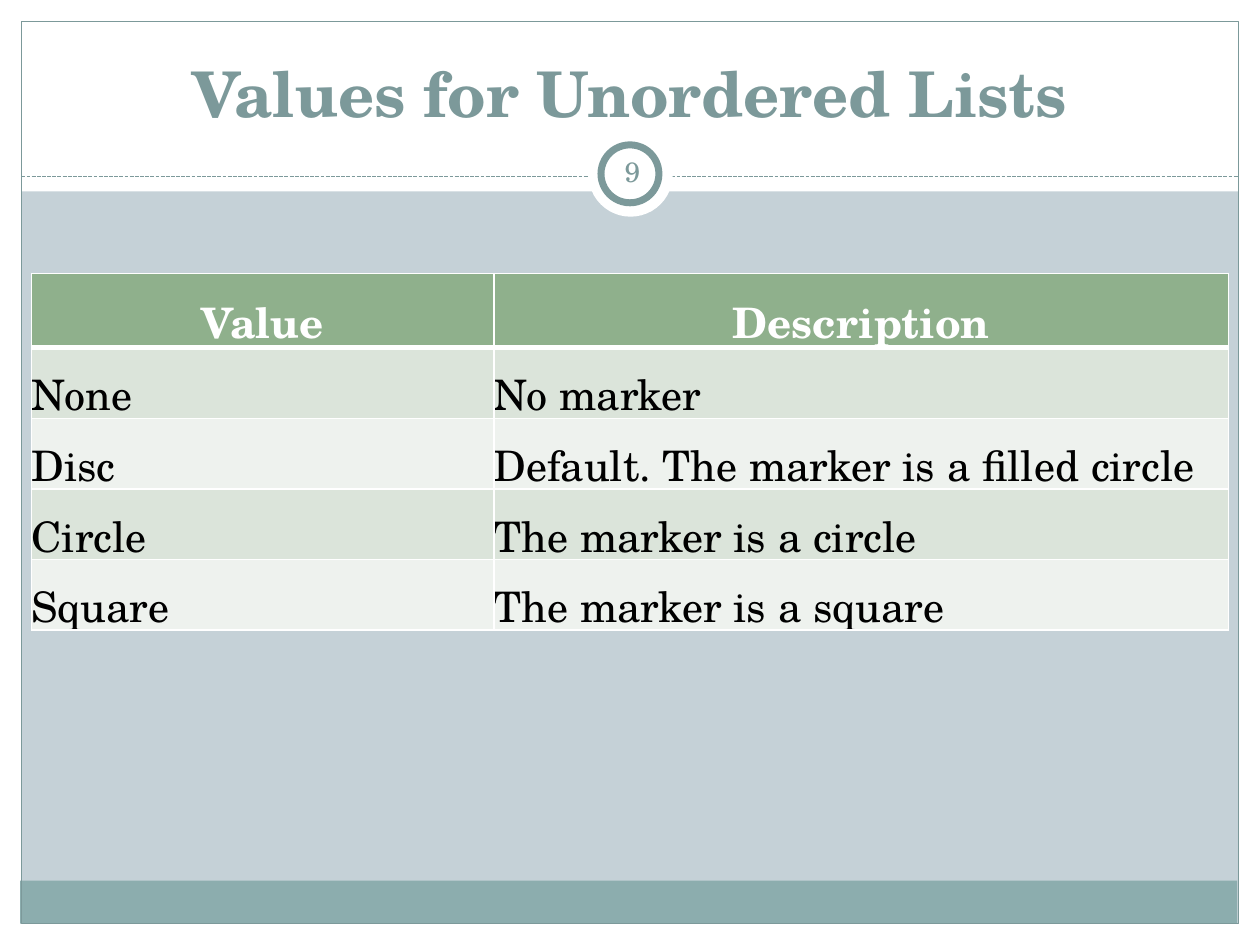
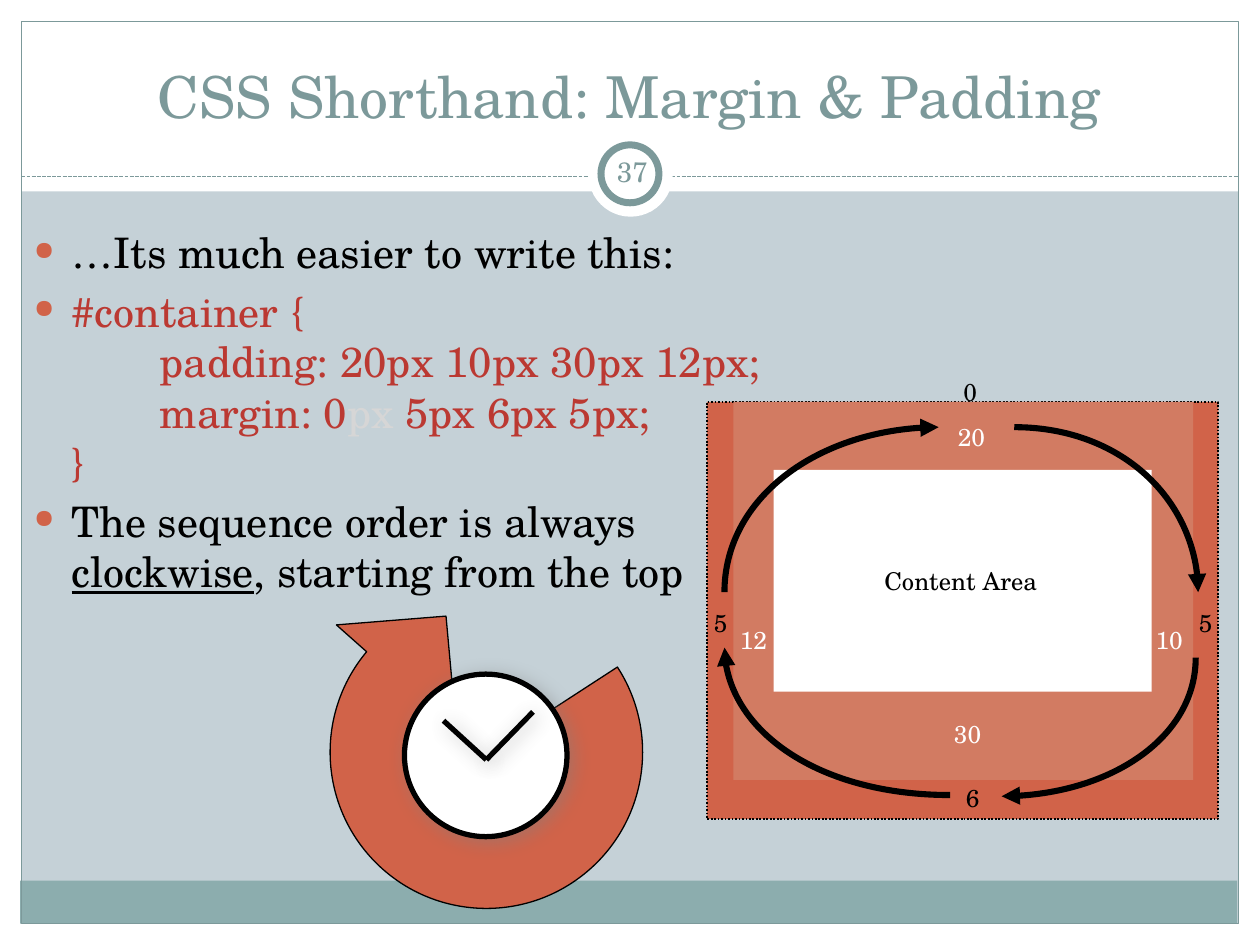
"""Build two CSS lesson slides: list marker values, and margin and padding shorthand."""
import math
from dataclasses import dataclass

from lxml import etree
from pptx import Presentation
from pptx import util as u
from pptx.dml import color
from pptx.enum import dml, shapes as sh, text as tx
from pptx.oxml import ns


@dataclass(frozen=True)
class Theme:
    """Colours, font and type sizes of the deck."""
    font: str = "TeX Gyre Schola"
    backdrop: str = "C5D1D7"
    white: str = "FFFFFF"
    black: str = "000000"
    slate: str = "7C999A"
    footer: str = "8CADAE"
    rust: str = "D16349"
    padding: str = "D27B62"
    code: str = "BB3932"
    faded: str = "D6D6D6"
    header: str = "8FB08C"
    row_dark: str = "DBE4DA"
    row_light: str = "EEF2EE"
    shadow: str = "808080"
    body_size: int = 24
    number_size: int = 16
    label_size: int = 14


T = Theme()
SHAPE = sh.MSO_SHAPE
DASH = dml.MSO_LINE
ALIGN = tx.PP_ALIGN
ANCHOR = tx.MSO_ANCHOR

CLOCK_CENTRE = (3.86, 5.97)
RING_START, RING_END = -33, 220


def rgb(code):
    """Turn a hex code into a colour."""
    return color.RGBColor.from_string(code)


def inches(*lengths):
    """Convert numbers to inch lengths."""
    return [u.Inches(length) for length in lengths]


def sub(parent, tag, **attributes):
    """Append a drawing element with the given attributes."""
    child = etree.SubElement(parent, ns.qn(tag))
    for key, value in attributes.items():
        child.set(key, str(value))
    return child


def style_line(shape, stroke, width, dash=None):
    """Set colour, width and dash of a line."""
    shape.line.color.rgb = rgb(stroke)
    shape.line.width = u.Pt(width)
    if dash:
        shape.line.dash_style = dash


def paint(shape, fill=None, stroke=None, width=0.75, dash=None):
    """Give a shape its fill and outline, without shadow."""
    shape.shadow.inherit = False
    if fill:
        shape.fill.solid()
        shape.fill.fore_color.rgb = rgb(fill)
    else:
        shape.fill.background()
    if stroke:
        style_line(shape, stroke, width, dash)
    else:
        shape.line.fill.background()
    return shape


def add_block(slide, kind, box, **look):
    """Add a painted preset shape."""
    return paint(slide.shapes.add_shape(kind, *inches(*box)), **look)


def add_line(slide, start, end, stroke, width, dash=None):
    """Add a straight line without shadow."""
    line = slide.shapes.add_connector(sh.MSO_CONNECTOR.STRAIGHT, *inches(*start, *end))
    style_line(line, stroke, width, dash)
    sub(line._element.spPr, "a:effectLst")
    return line


def arc_points(centre, radii, start, end, pieces=1):
    """List the cubic curve segments of an elliptical arc."""
    (x, y), (rx, ry) = centre, radii
    step = math.radians(end - start) / pieces
    pull = 4 / 3 * math.tan(step / 4)
    segments = []
    for piece in range(pieces):
        a = math.radians(start) + piece * step
        b = a + step
        units = [(math.cos(a) - pull * math.sin(a), math.sin(a) + pull * math.cos(a)),
                 (math.cos(b) + pull * math.sin(b), math.sin(b) - pull * math.cos(b)),
                 (math.cos(b), math.sin(b))]
        segments.append([(x + rx * c, y + ry * s) for c, s in units])
    return segments


def on_ellipse(centre, radii, angle):
    """Find the point of an ellipse at an angle in degrees."""
    turn = math.radians(angle)
    return centre[0] + radii[0] * math.cos(turn), centre[1] + radii[1] * math.sin(turn)


def add_outline(slide, start, segments, close, **look):
    """Add a freeform; one point makes a straight side, three a curve."""
    points = [tuple(u.Inches(v) for v in point) for part in segments for point in part]
    builder = slide.shapes.build_freeform(*inches(*start))
    builder.add_line_segments(points, close=close)
    outline = builder.convert_to_shape()
    sides = iter(list(outline._element.iter(ns.qn("a:lnTo"))))
    for part in segments:
        steps = [next(sides) for _ in part]
        if len(steps) == 3:
            steps[0].tag
            curve = etree.Element(ns.qn("a:cubicBezTo"))
            steps[0].addprevious(curve)
            for step in steps:
                curve.append(step[0])
                step.getparent().remove(step)
    return paint(outline, **look)


def cast_shadow(shape):
    """Put a soft shadow below and to the right of a shape."""
    effects = shape._element.spPr.find(ns.qn("a:effectLst"))
    outer = sub(effects, "a:outerShdw", blurRad=u.Pt(10.8), dist=u.Pt(2.8),
                dir=45 * 60000, algn="ctr", rotWithShape=0)
    tint = sub(outer, "a:srgbClr", val=T.shadow)
    sub(tint, "a:alpha", val=46000)


def add_run(paragraph, words, size, ink, bold=False, underline=False):
    """Add styled text, turning each newline into a line break."""
    for index, part in enumerate(words.split("\n")):
        if index:
            paragraph.add_line_break()
        if part:
            run = paragraph.add_run()
            run.text = part
            run.font.name = T.font
            run.font.size = u.Pt(size)
            run.font.color.rgb = rgb(ink)
            run.font.bold = bold
            run.font.underline = underline


def add_label(slide, words, box, size, ink, inset=0.1):
    """Add a centred one-line text box."""
    frame = slide.shapes.add_textbox(*inches(*box)).text_frame
    frame.word_wrap = True
    frame.vertical_anchor = ANCHOR.MIDDLE
    frame.margin_left = frame.margin_right = u.Inches(inset)
    frame.paragraphs[0].alignment = ALIGN.CENTER
    add_run(frame.paragraphs[0], words, size, ink)


def add_page(deck, heading, size, number, bold=False):
    """Add a slide with the shared bands, frame, title and number badge."""
    slide = deck.slides.add_slide(deck.slide_layouts[5])
    slide.background.fill.solid()
    slide.background.fill.fore_color.rgb = rgb(T.backdrop)
    for edge in ((0, 7.33, 10, 0.17), (0, 0, 10, 1.52),
                 (0, 0, 0.17, 7.5), (9.83, 0, 0.17, 7.5)):
        add_block(slide, SHAPE.RECTANGLE, edge, fill=T.white)
    add_block(slide, SHAPE.RECTANGLE, (0.16, 6.99, 9.66, 0.34), fill=T.footer)
    add_block(slide, SHAPE.RECTANGLE, (0.17, 0.17, 9.66, 7.16), stroke=T.slate)
    add_line(slide, (0.17, 1.4), (9.83, 1.4), T.slate, 0.75, DASH.SQUARE_DOT)
    add_block(slide, SHAPE.OVAL, (4.67, 1.05, 0.67, 0.67), fill=T.white)
    add_block(slide, SHAPE.OVAL, (4.77, 1.15, 0.46, 0.46),
              fill=T.white, stroke=T.slate, width=4)

    title = slide.shapes.title
    slide.shapes._spTree.append(title._element)
    title.left, title.top, title.width, title.height = inches(0.33, 0.25, 9.33, 0.83)
    title.text_frame.auto_size = tx.MSO_AUTO_SIZE.NONE
    title.text_frame.vertical_anchor = ANCHOR.BOTTOM
    title.text_frame.paragraphs[0].alignment = ALIGN.CENTER
    add_run(title.text_frame.paragraphs[0], heading, size, T.slate, bold)
    add_label(slide, number, (4.77, 1.12, 0.5, 0.48), T.number_size, T.slate, 0.05)
    return slide


def fill_cell(cell, words, is_header, fill):
    """Write one table cell with white borders."""
    properties = cell._tc.get_or_add_tcPr()
    for side, width in (("L", 1), ("R", 1), ("T", 1), ("B", 3 if is_header else 1)):
        edge = sub(properties, f"a:ln{side}", w=u.Pt(width))
        sub(sub(edge, "a:solidFill"), "a:srgbClr", val=T.white)
    cell.fill.solid()
    cell.fill.fore_color.rgb = rgb(fill)
    cell.margin_left = cell.margin_right = 0
    cell.vertical_anchor = ANCHOR.MIDDLE
    line = cell.text_frame.paragraphs[0]
    line.alignment = ALIGN.CENTER if is_header else ALIGN.JUSTIFY
    line.line_spacing = 1.15
    line.space_after = u.Pt(10)
    add_run(line, words, T.body_size, T.white if is_header else T.black, is_header)


def add_value_table(slide, rows, widths, left, top, header_height, row_height):
    """Add a table with a header and alternating rows."""
    heights = [header_height] + [row_height] * (len(rows) - 1)
    table = slide.shapes.add_table(
        len(rows), len(widths), *inches(left, top, sum(widths), sum(heights))).table
    table.first_row = table.horz_banding = False
    for column, width in zip(table.columns, widths):
        column.width = u.Inches(width)
    for r, row in enumerate(rows):
        table.rows[r].height = u.Inches(heights[r])
        fill = (T.row_dark if r % 2 else T.row_light) if r else T.header
        for c, words in enumerate(row):
            fill_cell(table.cell(r, c), words, r == 0, fill)


def add_bullets(slide, box, items):
    """Add a bulleted list; each item is a list of (text, ink, underline)."""
    frame = slide.shapes.add_textbox(*inches(*box)).text_frame
    frame.word_wrap = True
    for index, item in enumerate(items):
        line = frame.add_paragraph() if index else frame.paragraphs[0]
        line.space_before = u.Pt(4.8)
        properties = line._p.get_or_add_pPr()
        properties.set("marL", str(u.Inches(0.3)))
        properties.set("indent", str(u.Inches(-0.3)))
        sub(sub(properties, "a:buClr"), "a:srgbClr", val=T.rust)
        sub(properties, "a:buSzPct", val=62000)
        sub(properties, "a:buChar", char="●")
        sub(sub(properties, "a:tabLst"), "a:tab", pos=u.Inches(1), algn="l")
        for words, ink, underline in item:
            add_run(line, words, T.body_size, ink, underline=underline)


def add_sweep(slide, centre, radii, start):
    """Add a clockwise quarter arc ending in an arrowhead."""
    sweep = add_outline(slide, on_ellipse(centre, radii, start),
                        arc_points(centre, radii, start, start + 90),
                        close=False, stroke=T.black, width=3.5)
    sub(sweep._element.spPr.find(ns.qn("a:ln")), "a:tailEnd", type="triangle")


def add_box_model(slide):
    """Draw the margin, padding and content boxes with their values."""
    add_block(slide, SHAPE.RECTANGLE, (5.61, 3.19, 4.06, 3.31), fill=T.rust,
              stroke=T.black, width=1, dash=DASH.ROUND_DOT)
    add_block(slide, SHAPE.RECTANGLE, (5.82, 3.19, 3.65, 3), fill=T.padding)
    add_block(slide, SHAPE.RECTANGLE, (6.14, 3.73, 3, 1.76), fill=T.white)
    add_label(slide, "Content Area", (6.45, 4.44, 2.35, 0.33), T.label_size, T.black)
    margins = (("6", 7.25, 6.17), ("5", 5.25, 4.78), ("5", 9.1, 4.78), ("0", 7.23, 2.94))
    paddings = (("12", 5.51, 4.91), ("10", 8.81, 4.91), ("30", 7.21, 5.66), ("20", 7.24, 3.3))
    for values, ink in ((margins, T.black), (paddings, T.white)):
        for value, left, top in values:
            add_label(slide, value, (left, top, 0.94, 0.33), T.label_size, ink)
    add_sweep(slide, (8.05, 4.7), (1.46, 1.31), 270)
    add_sweep(slide, (7.45, 4.7), (1.7, 1.31), 180)
    add_sweep(slide, (7.54, 5.14), (1.79, 1.17), 90)
    add_sweep(slide, (7.95, 5.22), (1.54, 1.1), 0)


def add_clock(slide):
    """Draw the clockwise ring arrow and the clock inside it."""
    outer, inner = (1.24, 1.24), (0.62, 0.62)
    head = [[(2.67, 4.96)], [(3.54, 4.89)], [(3.62, 5.77)]]
    ring = (arc_points(CLOCK_CENTRE, outer, RING_START, RING_END, 3) + head
            + [[on_ellipse(CLOCK_CENTRE, inner, RING_END)]]
            + arc_points(CLOCK_CENTRE, inner, RING_END, RING_START, 3))
    add_outline(slide, on_ellipse(CLOCK_CENTRE, outer, RING_START), ring,
                close=True, fill=T.rust, stroke=T.black)
    face = add_block(slide, SHAPE.OVAL, (3.21, 5.35, 1.29, 1.29),
                     fill=T.white, stroke=T.black, width=3)
    hands = [add_line(slide, tip, (3.86, 6.03), T.black, 3)
             for tip in ((3.52, 5.72), (4.23, 5.65))]
    for part in (face, *hands):
        cast_shadow(part)


def main():
    """Build and save the deck."""
    deck = Presentation()
    deck.slide_width, deck.slide_height = inches(10, 7.5)
    list_values = add_page(deck, "Values for Unordered Lists", 36, "9", bold=True)
    add_value_table(list_values, [
        ("Value", "Description"), ("None", "No marker"),
        ("Disc", "Default. The marker is a filled circle"),
        ("Circle", "The marker is a circle"), ("Square", "The marker is a square"),
    ], (3.67, 5.83), 0.25, 2.17, 0.59, 0.56)
    shorthand = add_page(deck, "CSS Shorthand: Margin & Padding", 33, "37")
    add_bullets(shorthand, (0.17, 1.75, 9.5, 3.2), [
        [("…Its much easier to write this:", T.black, False)],
        [("#container {\n\tpadding: 20px 10px 30px 12px;\n\tmargin: 0", T.code, False),
         ("px", T.faded, False), (" 5px 6px 5px;\n}", T.code, False)],
        [("The sequence order is always \n", T.black, False),
         ("clockwise", T.black, True), (", starting from the top", T.black, False)],
    ])
    add_box_model(shorthand)
    add_clock(shorthand)
    deck.save("out.pptx")


if __name__ == "__main__":
    main()
